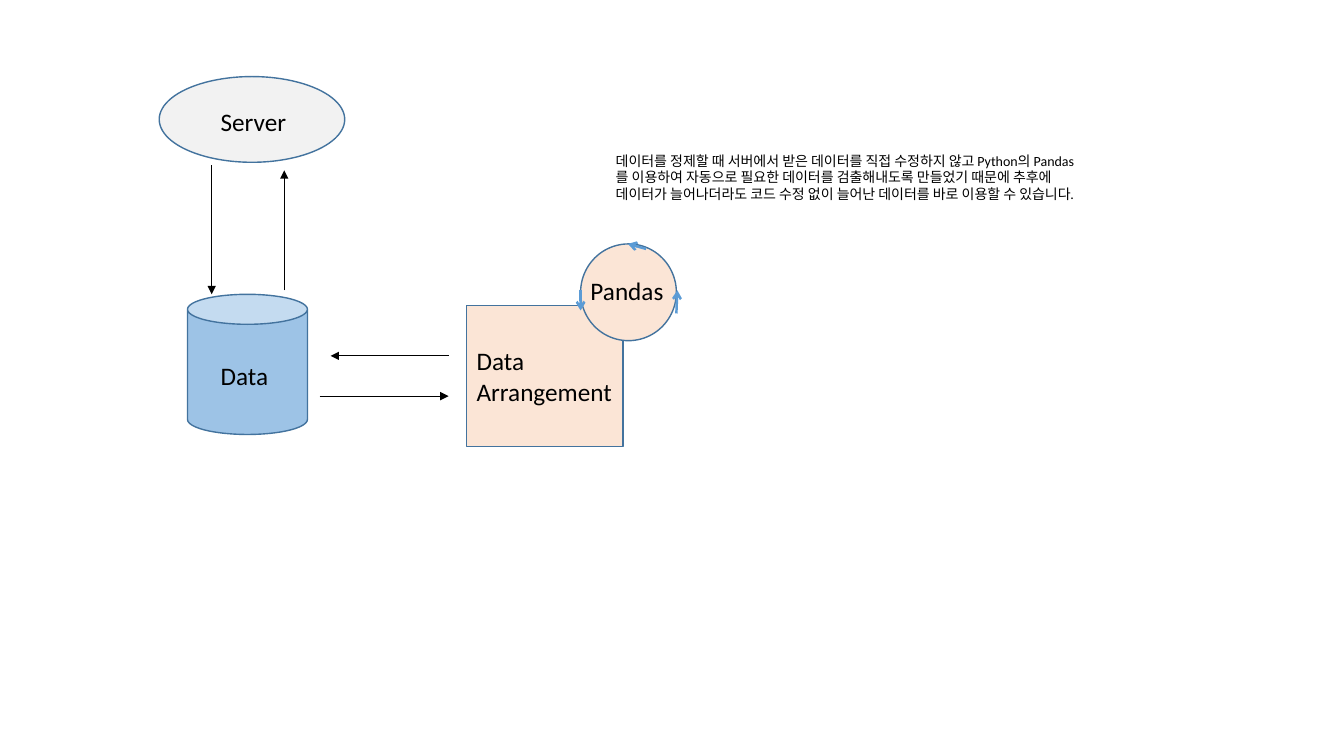
from lxml.etree import SubElement
from pptx import Presentation
from pptx.dml.color import RGBColor
from pptx.enum.shapes import MSO_CONNECTOR, MSO_SHAPE
from pptx.enum.text import MSO_AUTO_SIZE
from pptx.oxml.ns import qn
from pptx.util import Inches, Pt

BLACK = RGBColor(0x00, 0x00, 0x00)
OUTLINE = RGBColor(0x43, 0x73, 0x9E)
BLUE = RGBColor(0x9D, 0xC3, 0xE6)
GREY = RGBColor(0xF2, 0xF2, 0xF2)
PEACH = RGBColor(0xFB, 0xE5, 0xD6)
CYCLE_BLUE = RGBColor(0x5B, 0x9B, 0xD5)
FONT = "Calibri"

# All places are columns and rows of a fine grid, ten cells to the inch.
CELL = Inches(0.1)
COLUMNS, ROWS = 133.33, 75

NOTE = (
    "데이터를 정제할 때 서버에서 받은 데이터를 직접 수정하지 않고 Python의 "
    "Pandas를 이용하여 자동으로 필요한 데이터를 검출해내도록 만들었기 때문에 "
    "추후에 데이터가 늘어나더라도 코드 수정 없이 늘어난 데이터를 바로 이용할 수 있습니다."
)
NOTE_PLACE = (60.1, 14.6, 47.8, 7.7)

# shape, fill, shape place, label, label place
NODES = [
    (MSO_SHAPE.CAN, BLUE, (18.6, 29.2, 11.9, 13.9),
     "Data", (20.9, 35.3, 7.9, 4)),
    (MSO_SHAPE.OVAL, GREY, (15.8, 7.6, 18.4, 8.5),
     "Server", (20.9, 10.1, 9.6, 4)),
    (MSO_SHAPE.RECTANGLE, PEACH, (46.3, 30.3, 15.5, 14),
     "Data Arrangement", (46.3, 33.8, 16.6, 7.1)),
    (MSO_SHAPE.FLOWCHART_CONNECTOR, PEACH, (57.6, 24.2, 9.5, 9.6),
     "Pandas", (57.6, 26.8, 9.6, 4)),
]

# start column and row, end column and row
FLOW_ARROWS = [
    (31.7, 39.3, 44.5, 39.3),
    (44.5, 35.3, 32.8, 35.3),
    (21, 16.4, 21, 29.2),
    (28.2, 28.8, 28.2, 16.9),
]
CYCLE_ARROWS = [
    (64.1, 24.7, 62.3, 24.2),
    (57.6, 28.8, 57.6, 30.8),
    (67.1, 31.1, 67.2, 28.8),
]


def on_grid(place):
    return [round(cells * CELL) for cells in place]


def add_text(slide, text, place, size):
    box = slide.shapes.add_textbox(*on_grid(place))
    frame = box.text_frame
    frame.text = text
    frame.word_wrap = True
    frame.auto_size = MSO_AUTO_SIZE.SHAPE_TO_FIT_TEXT
    font = frame.paragraphs[0].runs[0].font
    font.name, font.size = FONT, Pt(size)
    font.color.rgb = BLACK


def add_node(slide, kind, fill, place, label, label_place):
    node = slide.shapes.add_shape(kind, *on_grid(place))
    node.shadow.inherit = False
    node.fill.solid()
    node.fill.fore_color.rgb = fill
    node.line.color.rgb = OUTLINE
    node.line.width = Pt(1)
    add_text(slide, label, label_place, 18)


def add_arrow(slide, ends, color, width, head):
    arrow = slide.shapes.add_connector(MSO_CONNECTOR.STRAIGHT, *on_grid(ends))
    arrow.line.color.rgb = color
    arrow.line.width = Pt(width)
    SubElement(arrow.line._get_or_add_ln(), qn("a:tailEnd"), type=head)
    SubElement(arrow._element.spPr, qn("a:effectLst"))


def main():
    deck = Presentation()
    deck.slide_width, deck.slide_height = on_grid((COLUMNS, ROWS))
    page = deck.slides.add_slide(deck.slide_layouts[6])
    add_text(page, NOTE, NOTE_PLACE, 10)
    for node in NODES:
        add_node(page, *node)
    for ends in FLOW_ARROWS:
        add_arrow(page, ends, BLACK, 0.5, "triangle")
    for ends in CYCLE_ARROWS:
        add_arrow(page, ends, CYCLE_BLUE, 1.75, "arrow")
    deck.save("out.pptx")


if __name__ == "__main__":
    main()
